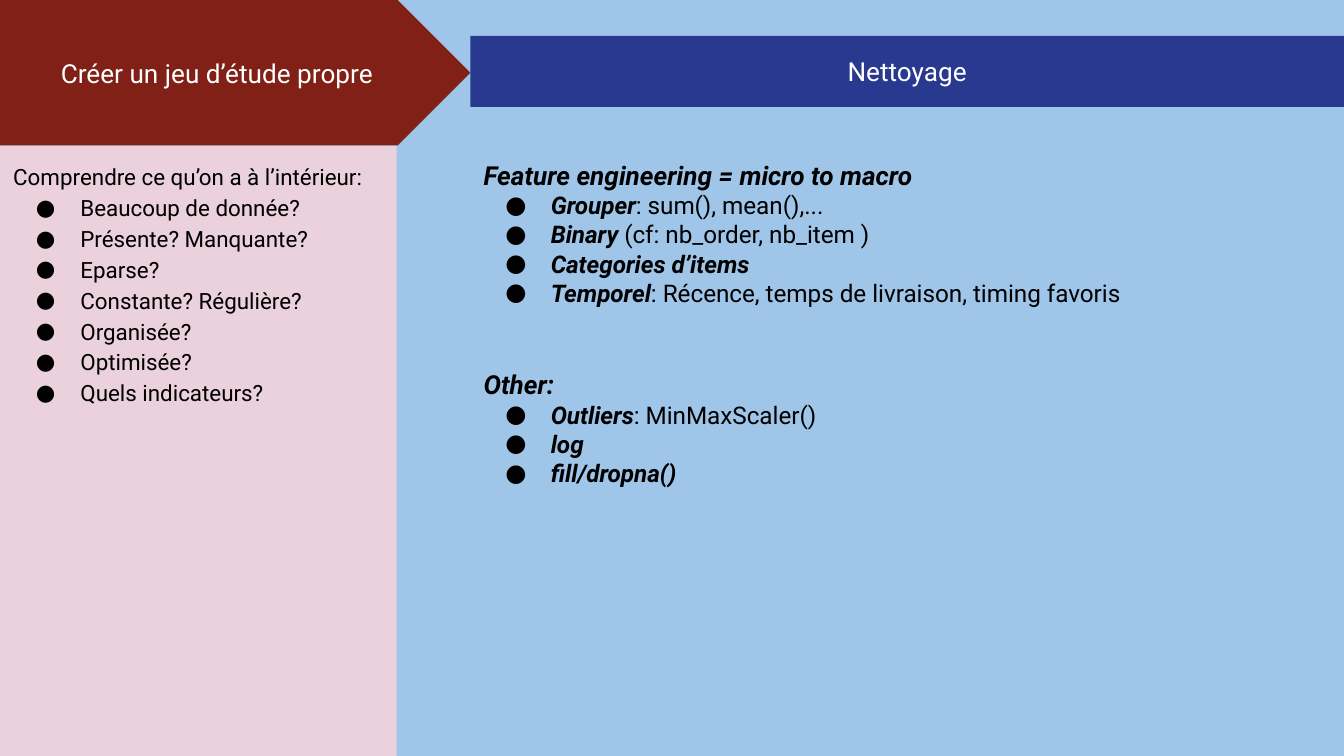
from dataclasses import dataclass

from lxml.etree import SubElement
from pptx import Presentation
from pptx.dml.color import RGBColor
from pptx.enum.shapes import MSO_SHAPE as Preset
from pptx.enum.text import MSO_ANCHOR as Anchor, PP_ALIGN as Align
from pptx.oxml.ns import qn
from pptx.shapes.autoshape import Shape
from pptx.slide import Slide
from pptx.util import Cm, Pt

COLORS = {
    "background": "9FC5E8",
    "step": "802017",
    "questions": "EAD1DC",
    "title": "2A3990",
    "light": "FFFFFF",
    "dark": "000000",
}
FONT = "Roboto"
MARGIN = Cm(0.25)
PAGE_WIDTH, PAGE_HEIGHT = 25.4, 14.29
ARROW_WIDTH, ARROW_HEIGHT = 8.89, 2.75
SIDE_WIDTH = 7.5
BODY_TOP = 2.76


@dataclass(frozen=True)
class Box:
    left: float
    top: float
    width: float
    height: float


@dataclass(frozen=True)
class Line:
    strong: str = ""
    plain: str = ""
    size: int = 12
    bullet_indent: float = 0
    spacing: float = 1
    before: int = 0


def color(name: str) -> RGBColor:
    return RGBColor.from_string(COLORS[name])


def write(shape: Shape, lines: list[Line], ink: str, align: Align, anchor: Anchor) -> None:
    frame = shape.text_frame
    frame.word_wrap = True
    frame.vertical_anchor = anchor
    frame.margin_left = frame.margin_right = MARGIN
    frame.margin_top = frame.margin_bottom = MARGIN
    for number, line in enumerate(lines):
        para = frame.add_paragraph() if number else frame.paragraphs[0]
        para.alignment = align
        para.line_spacing = line.spacing
        para.space_before = Pt(line.before)
        if line.bullet_indent:
            props = para._p.get_or_add_pPr()
            props.set("marL", str(Cm(1.27)))
            props.set("indent", str(-Cm(line.bullet_indent)))
            tint = SubElement(props, qn("a:buClr"))
            SubElement(tint, qn("a:srgbClr"), val=COLORS[ink])
            SubElement(props, qn("a:buFont"), typeface=FONT)
            SubElement(props, qn("a:buChar"), char="●")
        para.font.name = FONT
        para.font.size = Pt(line.size)
        para.font.color.rgb = color(ink)
        for text, strong in ((line.strong, True), (line.plain, False)):
            if text:
                span = para.add_run()
                span.text = text
                span.font.bold = span.font.italic = strong


def add_panel(page: Slide, preset: Preset, box: Box, fill: str) -> Shape:
    panel = page.shapes.add_shape(
        preset, Cm(box.left), Cm(box.top), Cm(box.width), Cm(box.height))
    panel.shadow.inherit = False
    panel.fill.solid()
    panel.fill.fore_color.rgb = color(fill)
    panel.line.fill.background()
    return panel


def heading(text: str, before: int = 0) -> Line:
    return Line(strong=text, size=14, before=before)


def technique(strong: str, plain: str = "") -> Line:
    return Line(strong, plain, size=13, bullet_indent=0.86)


QUESTIONS = [
    "Beaucoup de donnée?",
    "Présente? Manquante?",
    "Eparse?",
    "Constante? Régulière?",
    "Organisée?",
    "Optimisée?",
    "Quels indicateurs?",
]
TECHNIQUES = [
    heading("Feature engineering = micro to macro"),
    technique("Grouper", ": sum(), mean(),..."),
    technique("Binary ", "(cf: nb_order, nb_item )"),
    technique("Categories d’items"),
    technique("Temporel", ": Récence, temps de livraison, timing favoris"),
    heading("Other:", before=33),
    technique("Outliers", ": MinMaxScaler()"),
    technique("log"),
    technique("fill/dropna()"),
]


def main() -> None:
    deck = Presentation()
    deck.slide_width, deck.slide_height = Cm(PAGE_WIDTH), Cm(PAGE_HEIGHT)
    page = deck.slides.add_slide(deck.slide_layouts[6])
    page.background.fill.solid()
    page.background.fill.fore_color.rgb = color("background")

    main_width = PAGE_WIDTH - ARROW_WIDTH
    step = add_panel(page, Preset.PENTAGON, Box(0, 0, ARROW_WIDTH, ARROW_HEIGHT), "step")
    write(step, [Line(plain="Créer un jeu d’étude propre", size=14)],
          "light", Align.CENTER, Anchor.MIDDLE)

    side = add_panel(page, Preset.RECTANGLE,
                     Box(0, BODY_TOP, SIDE_WIDTH, PAGE_HEIGHT - BODY_TOP), "questions")
    intro = Line(plain="Comprendre ce qu’on a à l’intérieur:", spacing=1.15)
    questions = [Line(plain=text, bullet_indent=0.84, spacing=1.15) for text in QUESTIONS]
    write(side, [intro, *questions], "dark", Align.LEFT, Anchor.TOP)

    title = add_panel(page, Preset.RECTANGLE, Box(ARROW_WIDTH, 0.68, main_width, 1.34), "title")
    write(title, [Line(plain="Nettoyage", size=14)], "light", Align.CENTER, Anchor.MIDDLE)

    body = page.shapes.add_textbox(Cm(ARROW_WIDTH), Cm(BODY_TOP), Cm(main_width), Cm(6.8))
    write(body, TECHNIQUES, "dark", Align.LEFT, Anchor.TOP)

    deck.save("out.pptx")


if __name__ == "__main__":
    main()
